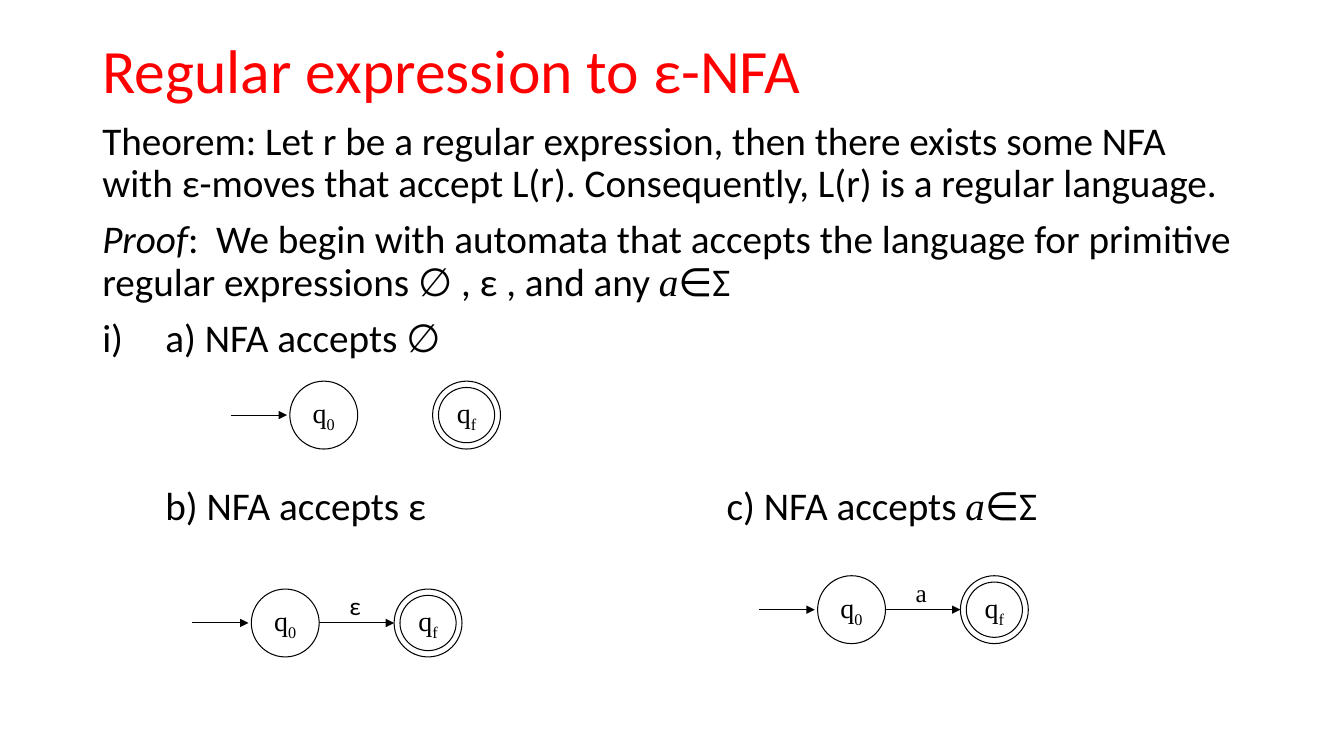
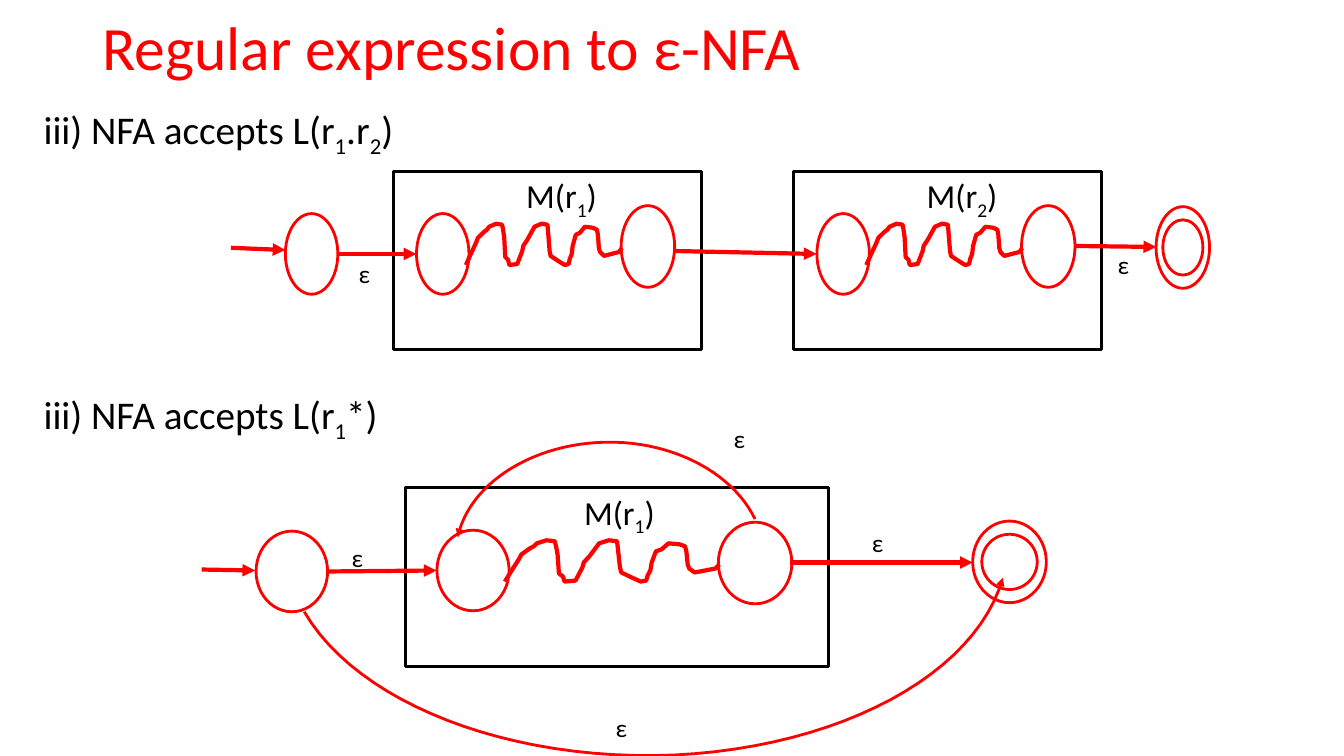
from lxml.etree import SubElement
from pptx import Presentation
from pptx.dml.color import RGBColor
from pptx.enum.shapes import MSO_CONNECTOR, MSO_SHAPE
from pptx.enum.text import MSO_ANCHOR, MSO_AUTO_SIZE, PP_ALIGN
from pptx.oxml.ns import qn
from pptx.util import Pt

BLACK = "000000"
RED = "FF0000"
SANS = "Calibri"
SERIF = "Times New Roman"
SUB = {"baseline": -25000}
SERIF_ITALIC = {"font": SERIF, "italic": True}

STATE_SIZE = 48.5
MACHINE_WIDTH = 220
MACHINE_HEIGHT = 127.4

# Wavy path through a machine, in points from its top left corner
WAVE = [
    (0, 29.5), (2.9, 23), (7.2, 13.7), (8.6, 10.1), (13, 5.8), (15.1, 4.3),
    (16.6, 2.2), (21.6, 0), (25.9, 0.7), (26.6, 4.3), (27.4, 10.1),
    (28.1, 23.8), (30.2, 25.9), (31, 29.5), (36.7, 28.8), (40.3, 19.4),
    (41, 15.8), (43.9, 11.5), (49, 2.2), (54, 0), (58.3, 0.7), (59.8, 19.4),
    (60.5, 23), (64.8, 25.9), (70.6, 29.5), (73.4, 28.8), (74.2, 25.2),
    (75.6, 21.6), (76.3, 15.8), (78.5, 7.9), (81.4, 6.5), (85, 2.2),
    (90.7, 2.9), (93.6, 4.3), (94.3, 7.9), (95, 17.3), (95.8, 20.2),
    (98.6, 23), (109.4, 20.2), (110.9, 18), (111.6, 17.3),
]

# Bezier control points: start, then three points for each curve
LOOP_BACK = [(539.3, 370.8), (522.7, 336.2), (476.6, 313.2), (427, 316.1),
             (376.6, 319), (334.8, 347), (326.9, 383.8)]
SKIP_AHEAD = [(217.4, 437), (255.6, 502.6), (364.3, 544.3), (481.7, 539.3),
              (600.5, 533.5), (697, 481.7), (716.4, 412.6)]


def color_of(hex_text):
    return RGBColor.from_string(hex_text)


def add_span(para, text, size=28, font=SANS, color=BLACK, italic=False, baseline=0):
    span = para.add_run()
    span.text = text
    span.font.size = Pt(size)
    span.font.name = font
    span.font.italic = italic
    span.font.color.rgb = color_of(color)
    if baseline:
        span.font._element.set("baseline", str(baseline))


def write_para(para, spans, spacing=None, before=0, align=PP_ALIGN.LEFT, **style):
    """Fill a paragraph from spans, each a string or (string, own style)."""
    para.alignment = align
    para.space_before = Pt(before)
    if spacing:
        para.line_spacing = spacing
    for item in spans:
        text, own = (item, {}) if isinstance(item, str) else item
        add_span(para, text, **{**style, **own})


def add_text(page, left, top, width, height, *paragraphs, **style):
    box = page.shapes.add_textbox(Pt(left), Pt(top), Pt(width), Pt(height))
    frame = box.text_frame
    frame.word_wrap = True
    for index, spans in enumerate(paragraphs):
        para = frame.add_paragraph() if index else frame.paragraphs[0]
        write_para(para, spans, **style)
    return frame


def add_body(page, left, top, width, *paragraphs):
    return add_text(page, left, top, width, 40, *paragraphs, spacing=0.9, before=10)


def number_roman(para, indent):
    properties = para._p.get_or_add_pPr()
    properties.set("marL", str(Pt(indent)))
    properties.set("indent", str(Pt(-indent)))
    SubElement(properties, qn("a:buFont"), typeface="+mj-lt")
    SubElement(properties, qn("a:buAutoNum"), type="romanLcParenR")


def add_page(deck, title_top, title_height):
    page = deck.slides.add_slide(deck.slide_layouts[5])
    title = page.shapes.title
    title.left, title.top = Pt(66), Pt(title_top)
    title.width, title.height = Pt(828), Pt(title_height)
    frame = title.text_frame
    frame.auto_size = MSO_AUTO_SIZE.NONE
    frame.vertical_anchor = MSO_ANCHOR.MIDDLE
    write_para(frame.paragraphs[0], ["Regular expression to ε-NFA"],
               spacing=0.9, size=44, color=RED)
    return page


def style_line(shape, color, weight, arrow=False):
    shape.line.color.rgb = color_of(color)
    shape.line.width = Pt(weight)
    if arrow:
        SubElement(shape.element.spPr.find(qn("a:ln")), qn("a:tailEnd"), type="triangle")


def add_outline(page, kind, left, top, width, height, color=RED, weight=2):
    shape = page.shapes.add_shape(kind, Pt(left), Pt(top), Pt(width), Pt(height))
    shape.shadow.inherit = False
    shape.fill.background()
    style_line(shape, color, weight)
    return shape


def add_ellipse(page, left, top, width, height, **line):
    return add_outline(page, MSO_SHAPE.OVAL, left, top, width, height, **line)


def add_final_ellipse(page, left, top, width, height, inset_x, inset_y, **line):
    """Draw a double ellipse and return the inner one."""
    add_ellipse(page, left, top, width, height, **line)
    return add_ellipse(page, left + inset_x, top + inset_y,
                       width - 2 * inset_x, height - 2 * inset_y, **line)


def add_arrow(page, start, end, color=RED, weight=3):
    arrow = page.shapes.add_connector(
        MSO_CONNECTOR.STRAIGHT, *(Pt(value) for value in start + end))
    style_line(arrow, color, weight, arrow=True)
    SubElement(arrow.element.spPr, qn("a:effectLst"))


def add_path(page, points, weight, arrow=False):
    start, *rest = [(Pt(x), Pt(y)) for x, y in points]
    builder = page.shapes.build_freeform(*start)
    builder.add_line_segments(rest, close=False)
    shape = builder.convert_to_shape()
    shape.shadow.inherit = False
    shape.fill.background()
    style_line(shape, RED, weight, arrow)


def bezier_points(controls, steps=24):
    points = [controls[0]]
    for first in range(0, len(controls) - 1, 3):
        a, b, c, d = controls[first:first + 4]
        for step in range(1, steps + 1):
            t = step / steps
            u = 1 - t
            weights = (u ** 3, 3 * u * u * t, 3 * u * t * t, t ** 3)
            points.append(tuple(
                sum(weight * value for weight, value in zip(weights, axis))
                for axis in zip(a, b, c, d)))
    return points


def name_state(shape, subscript):
    frame = shape.text_frame
    frame.word_wrap = False
    frame.vertical_anchor = MSO_ANCHOR.MIDDLE
    write_para(frame.paragraphs[0], ["q", (subscript, SUB)],
               align=PP_ALIGN.CENTER, size=20, font=SERIF)


def add_automaton(page, left, middle, symbol=None, font=SANS):
    """Draw states q0 and qf, joined by an arrow if there is a symbol."""
    thin = {"color": BLACK, "weight": 0.75}
    top = middle - STATE_SIZE / 2
    first_left, final_left = left + 42, left + 144
    add_arrow(page, (left, middle), (left + 40, middle), **thin)
    name_state(add_ellipse(page, first_left, top, STATE_SIZE, STATE_SIZE, **thin), "0")
    name_state(add_final_ellipse(page, final_left, top, STATE_SIZE, STATE_SIZE,
                                 4.2, 4.5, **thin), "f")
    if symbol:
        add_arrow(page, (first_left + STATE_SIZE, middle), (final_left, middle), **thin)
        add_text(page, left + 105, middle - 27, 27, 29, [symbol], size=18, font=font)


def add_machine(page, left, top, width, index):
    """Draw the boxed machine M(r), stretched to the given width."""
    stretch = width / MACHINE_WIDTH
    add_outline(page, MSO_SHAPE.RECTANGLE, left, top, width, MACHINE_HEIGHT, color=BLACK)
    add_ellipse(page, left + 16.5 * stretch, top + 30.2, 37.5 * stretch, 57.6)
    add_ellipse(page, left + 162.7 * stretch, top + 24.5, 38.2 * stretch, 58.3)
    add_path(page, [(left + (51.8 + x) * stretch, top + 37.4 + y) for x, y in WAVE], 3)
    add_text(page, left + 87.8 * stretch, top - 0.7, 73, 36,
             ["M(r", (index, SUB), ")"], size=24)


def build_primitives(deck):
    page = add_page(deck, 21, 62.5)
    frame = add_body(
        page, 66, 83, 828,
        ["Theorem: Let r be a regular expression, then there exists some NFA with "
         "ε-moves that accept L(r). Consequently, L(r) is a regular language."],
        [("Proof", {"italic": True}),
         ":  We begin with automata that accepts the language for primitive "
         "regular expressions ∅ , ε , and any ", ("a", SERIF_ITALIC), "∈Σ"],
        ["a) NFA accepts ∅"])
    number_roman(frame.paragraphs[2], 45)
    add_body(page, 111, 344, 300, ["b) NFA accepts ε"])
    add_body(page, 512, 344, 340, ["c) NFA accepts ", ("a", SERIF_ITALIC), "∈Σ"])
    add_automaton(page, 165, 296.5)
    add_automaton(page, 137.5, 445, "ε")
    add_automaton(page, 542, 435.5, "a", SERIF)


def build_combinations(deck):
    page = add_page(deck, 8, 56)
    add_body(page, 24, 72, 400, ["iii) NFA accepts L(r", ("1", SUB), ".r", ("2", SUB), ")"])
    add_body(page, 24, 276, 400, ["iii) NFA accepts L(r", ("1", SUB), "*)"])

    add_machine(page, 281, 122.4, MACHINE_WIDTH, "1")
    add_machine(page, 567, 122.4, MACHINE_WIDTH, "2")
    add_ellipse(page, 203.8, 152.6, 37.5, 57.6)
    add_final_ellipse(page, 825.8, 147.6, 38.2, 58.3, 4.8, 9.4)

    add_machine(page, 289.4, 348.5, 302.5, "1")
    add_ellipse(page, 182.9, 379.4, 51.1, 57.6)
    add_final_ellipse(page, 694.8, 372.2, 52.6, 58.3, 6.5, 9.4)

    for start, end in [
        ((165, 177), (203.8, 178.6)),
        ((241.2, 181.4), (297.4, 181.4)),
        ((481.7, 179.3), (583.2, 181.4)),
        ((767.5, 175.7), (825.8, 176.4)),
        ((144, 406.8), (182.2, 407.5)),
        ((234.7, 408.2), (311.8, 407.5)),
        ((564.5, 401.8), (694.8, 401.8)),
    ]:
        add_arrow(page, start, end)
    for curve in (LOOP_BACK, SKIP_AHEAD):
        add_path(page, bezier_points(curve), 2, arrow=True)
    for left, top in [(249, 180.7), (791.3, 174.2), (517, 298.8),
                      (244, 383.8), (615.6, 373), (432.7, 505.4)]:
        add_text(page, left, top, 27, 29, ["ε"], size=18)


def main():
    deck = Presentation()
    deck.slide_width, deck.slide_height = Pt(960), Pt(540)
    build_primitives(deck)
    build_combinations(deck)
    deck.save("out.pptx")


if __name__ == "__main__":
    main()
